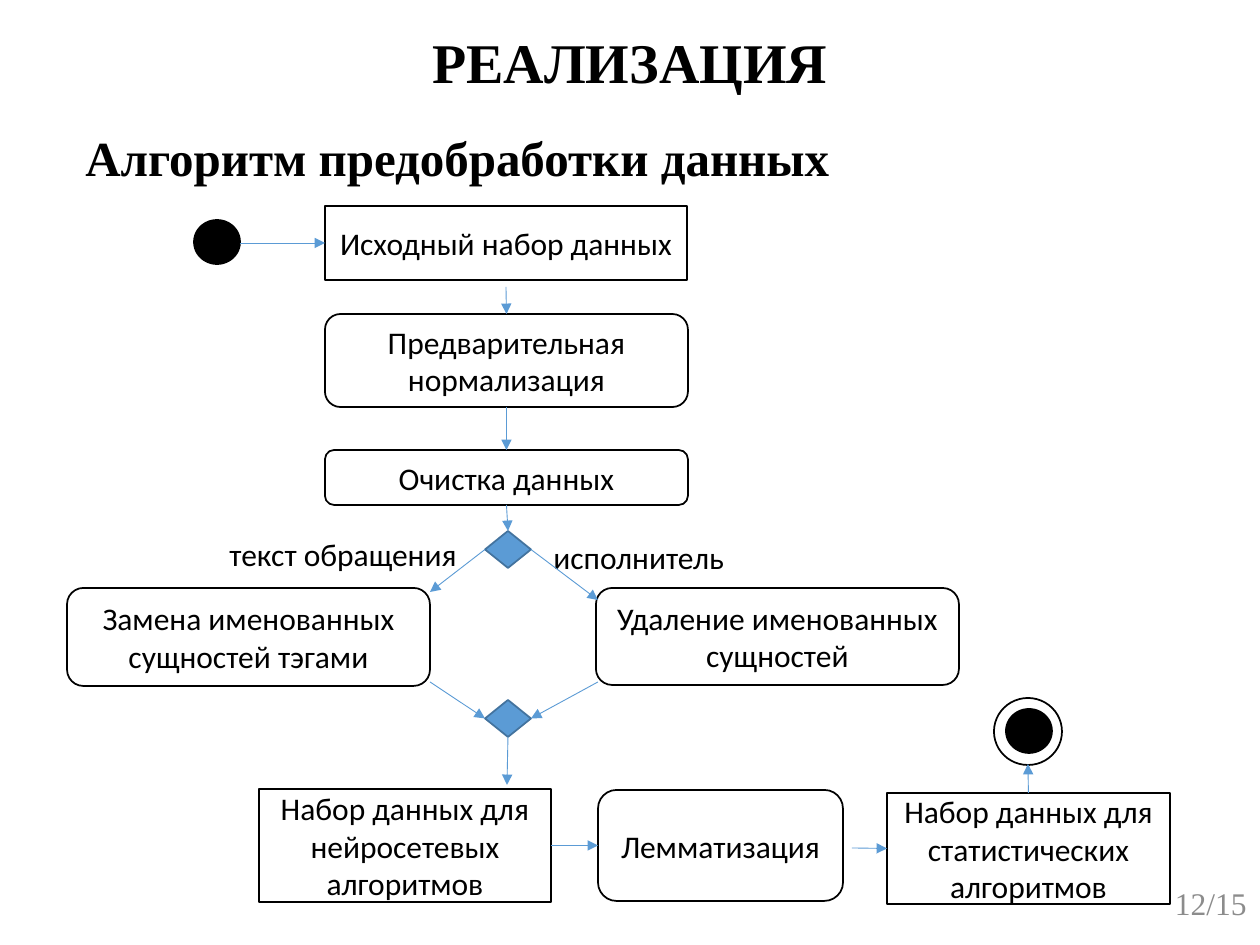
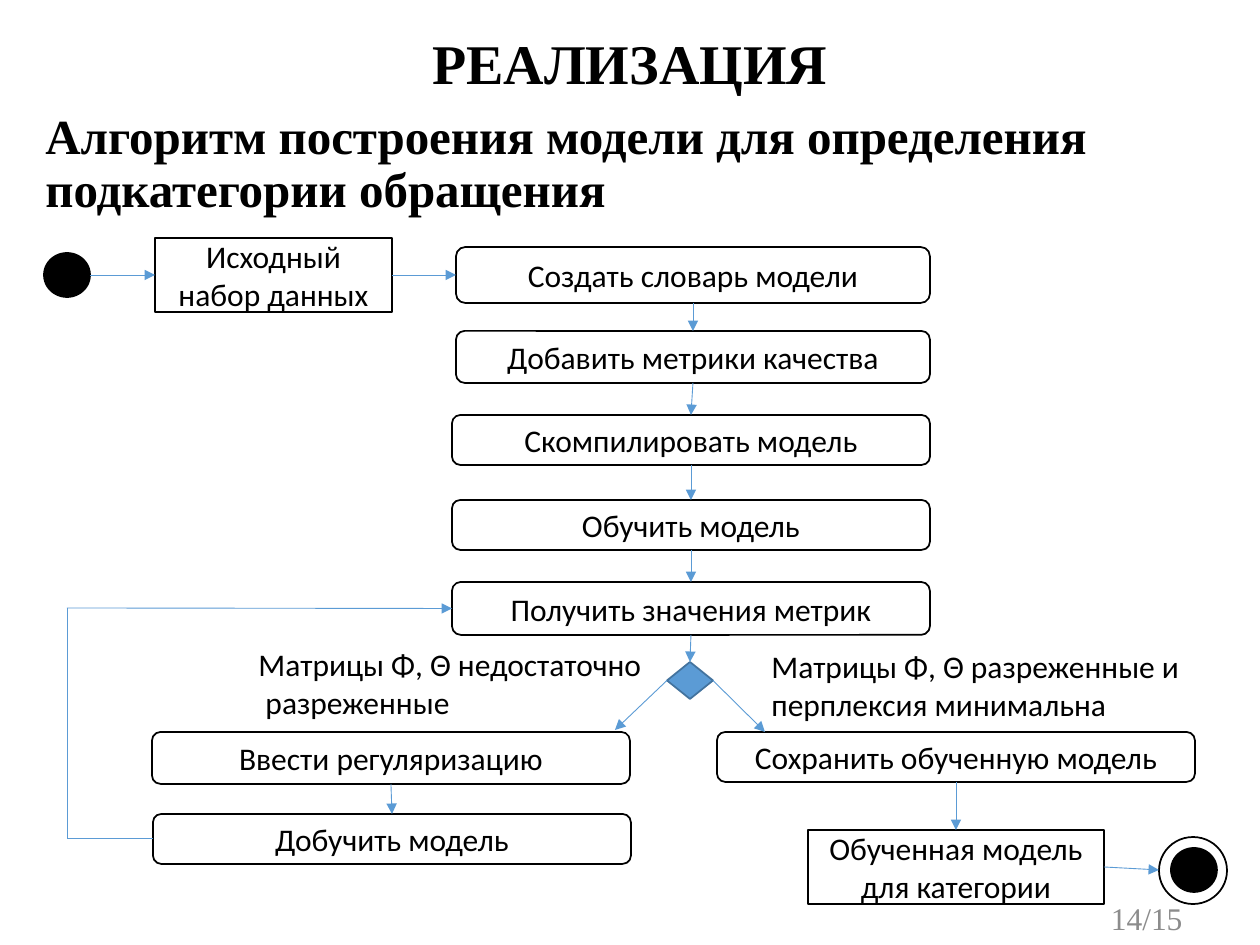
from lxml.etree import SubElement
from pptx import Presentation
from pptx.dml.color import RGBColor
from pptx.enum.shapes import MSO_CONNECTOR, MSO_SHAPE
from pptx.enum.text import MSO_ANCHOR, MSO_AUTO_SIZE, PP_ALIGN
from pptx.oxml.ns import qn
from pptx.util import Emu, Pt

SCALE = 914400 // 126
TOP, LEFT, BOTTOM, RIGHT = range(4)
COLORS = {
    "ink": "000000",
    "paper": "FFFFFF",
    "accent": "5B9BD5",
    "accent_edge": "43739E",
    "muted": "8C8C8C",
}
FONTS = {
    "title": {"name": "Times New Roman", "size": Pt(32), "bold": True},
    "heading": {"name": "Times New Roman", "size": Pt(28), "bold": True},
    "number": {"name": "Times New Roman", "size": Pt(18), "bold": False},
    "body": {"name": "Calibri", "size": Pt(18), "bold": False},
}


def px(*values):
    return [Emu(round(v * SCALE)) for v in values]


def color(name):
    return RGBColor.from_string(COLORS[name])


class Diagram:
    """Draws activity diagrams in one shared style on the current slide."""

    def __init__(self, prs):
        self.prs = prs
        self.s = None

    def put_text(self, shape, text, font, ink="ink", frame=None, para=None):
        tf = shape.text_frame
        for key, value in (frame or {}).items():
            setattr(tf, key, value)
        for i, line in enumerate(text.split("\n")):
            p = tf.add_paragraph() if i else tf.paragraphs[0]
            for key, value in (para or {}).items():
                setattr(p, key, value)
            r = p.add_run()
            r.text = line
            for key, value in FONTS[font].items():
                setattr(r.font, key, value)
            r.font.color.rgb = color(ink)

    def slide(self, title, title_top, heading, heading_box, number, number_at):
        self.s = self.prs.slides.add_slide(self.prs.slide_layouts[5])
        sp = self.s.shapes.title
        sp.left, sp.top, sp.width, sp.height = px(87, title_top, 1086, 67)
        middle = {"word_wrap": True, "auto_size": MSO_AUTO_SIZE.NONE,
                  "vertical_anchor": MSO_ANCHOR.MIDDLE}
        self.put_text(sp, title, "title", frame=middle,
                      para={"alignment": PP_ALIGN.CENTER, "line_spacing": 0.9})
        sp = self.s.shapes.add_textbox(*px(*heading_box))
        self.put_text(sp, heading, "heading", frame={"word_wrap": True},
                      para={"line_spacing": 0.9, "space_before": Pt(10)})
        sp = self.s.shapes.add_textbox(*px(*number_at, 283, 50))
        self.put_text(sp, number, "number", "muted", middle,
                      {"alignment": PP_ALIGN.RIGHT})

    def shape(self, kind, box, fill="paper", edge="ink"):
        sp = self.s.shapes.add_shape(kind, *px(*box))
        sp.shadow.inherit = False
        sp.fill.solid()
        sp.fill.fore_color.rgb = color(fill)
        sp.line.color.rgb = color(edge)
        sp.line.width = Pt(1)
        return sp

    def node(self, text, *box, kind=MSO_SHAPE.ROUNDED_RECTANGLE):
        sp = self.shape(kind, box)
        self.put_text(sp, text, "body",
                      frame={"word_wrap": True, "vertical_anchor": MSO_ANCHOR.MIDDLE},
                      para={"alignment": PP_ALIGN.CENTER})
        return sp

    def data(self, text, *box):
        return self.node(text, *box, kind=MSO_SHAPE.RECTANGLE)

    def choice(self, x, y):
        return self.shape(MSO_SHAPE.DIAMOND, (x, y, 46, 37), "accent", "accent_edge")

    def start(self, x, y):
        self.shape(MSO_SHAPE.OVAL, (x, y, 46, 44), "ink")

    def finish(self, x, y):
        self.shape(MSO_SHAPE.OVAL, (x, y, 68, 67))
        self.start(x + 12, y + 11)

    def label(self, text, *box):
        sp = self.s.shapes.add_textbox(*px(*box))
        self.put_text(sp, text, "body", frame={
            "word_wrap": False, "auto_size": MSO_AUTO_SIZE.SHAPE_TO_FIT_TEXT})

    def link(self, begin, end, head=True):
        free = [e if isinstance(e[0], int) else (0, 0) for e in (begin, end)]
        c = self.s.shapes.add_connector(MSO_CONNECTOR.STRAIGHT,
                                        *px(*free[0], *free[1]))
        for connect, e in ((c.begin_connect, begin), (c.end_connect, end)):
            if not isinstance(e[0], int):
                connect(*e)
        c.line.color.rgb = color("accent")
        c.line.width = Pt(0.5)
        props = c.element.spPr
        if head:
            SubElement(props.find(qn("a:ln")), qn("a:tailEnd"), type="triangle")
        SubElement(props, qn("a:effectLst"))

    def chain(self, *nodes):
        for upper, lower in zip(nodes, nodes[1:]):
            self.link((upper, BOTTOM), (lower, TOP))


def preprocessing(d):
    d.slide("РЕАЛИЗАЦИЯ", 32, "Алгоритм предобработки данных",
            (73, 128, 1135, 755), "12/15", (976, 878))
    d.start(194, 220)
    source = d.data("Исходный набор данных", 325, 206, 362, 74)
    normal = d.node("Предварительная нормализация", 325, 314, 363, 93)
    clean = d.node("Очистка данных", 325, 450, 363, 55)
    split = d.choice(485, 531)
    d.node("Замена именованных сущностей тэгами", 67, 588, 363, 98)
    d.node("Удаление именованных сущностей", 596, 588, 363, 97)
    merge = d.choice(485, 700)
    neural = d.data("Набор данных для нейросетевых алгоритмов", 259, 789, 292, 113)
    lemma = d.node("Лемматизация", 598, 790, 245, 111)
    stats = d.data("Набор данных для статистических алгоритмов", 887, 793, 283, 111)
    d.finish(994, 698)
    d.label("текст обращения", 217, 529, 256, 50)
    d.label("исполнитель", 541, 532, 198, 50)

    d.link((240, 243), (source, LEFT))
    d.link((506, 287), (normal, TOP))
    d.chain(normal, clean, split)
    d.link((split, LEFT), (430, 592))
    d.link((split, RIGHT), (598, 600))
    d.link((430, 682), (merge, LEFT))
    d.link((598, 682), (merge, RIGHT))
    d.link((merge, BOTTOM), (507, 785))
    d.link((neural, RIGHT), (lemma, LEFT))
    d.link((852, 848), (stats, LEFT))
    d.link((stats, TOP), (1028, 764))


def model_building(d):
    d.slide("РЕАЛИЗАЦИЯ", 33,
            "Алгоритм построения модели для определения подкатегории обращения",
            (33, 106, 1197, 707), "14/15", (912, 893))
    d.start(44, 253)
    source = d.data("Исходный набор данных", 155, 238, 237, 74)
    vocabulary = d.node("Создать словарь модели", 456, 247, 474, 56)
    metrics = d.node("Добавить метрики качества", 456, 331, 474, 52)
    build = d.node("Скомпилировать модель", 452, 415, 478, 50)
    train = d.node("Обучить модель", 452, 500, 478, 50)
    values = d.node("Получить значения метрик", 452, 582, 478, 53)
    split = d.choice(667, 662)
    regular = d.node("Ввести регуляризацию", 152, 732, 478, 52)
    retrain = d.node("Добучить модель", 153, 814, 478, 50)
    save = d.node("Сохранить обученную модель", 717, 732, 478, 50)
    trained = d.data("Обученная модель для категории", 808, 830, 296, 74)
    d.finish(1159, 837)
    d.label("Матрицы Φ, Θ недостаточно\n разреженные", 246, 639, 413, 89)
    d.label("Матрицы Φ, Θ разреженные и\nперплексия минимальна", 759, 641, 446, 89)

    d.link((90, 275), (source, LEFT))
    d.link((source, RIGHT), (vocabulary, LEFT))
    d.chain(vocabulary, metrics, build, train, values, split)
    d.link((split, LEFT), (615, 730))
    d.link((split, RIGHT), (765, 732))
    d.chain(regular, retrain)
    d.link((retrain, LEFT), (67, 839), head=False)
    d.link((67, 839), (67, 608), head=False)
    d.link((67, 608), (values, LEFT))
    d.chain(save, trained)
    d.link((trained, RIGHT), (1159, 870))


prs = Presentation()
prs.slide_width, prs.slide_height = px(1260, 945)
diagram = Diagram(prs)
preprocessing(diagram)
model_building(diagram)
prs.save("out.pptx")
